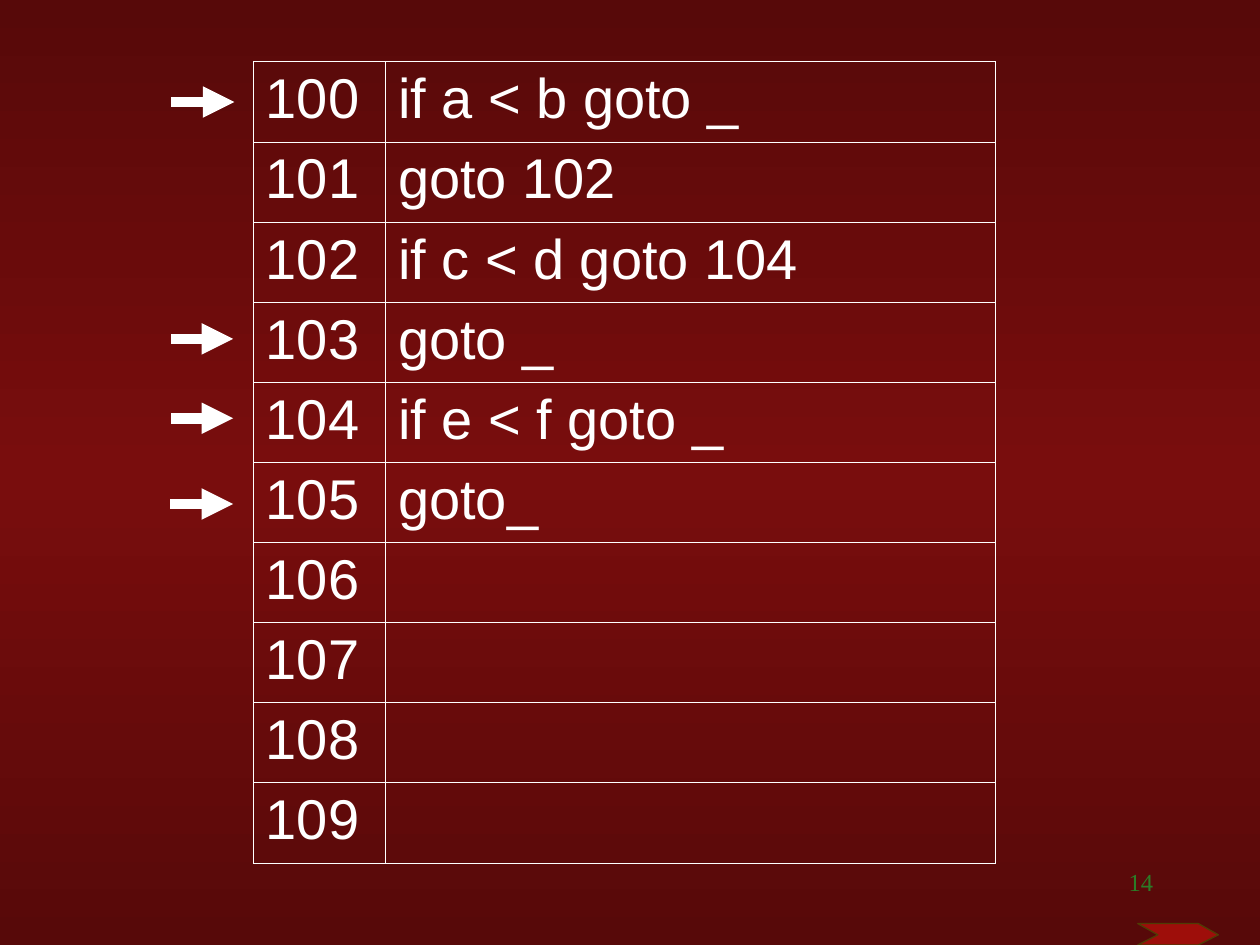
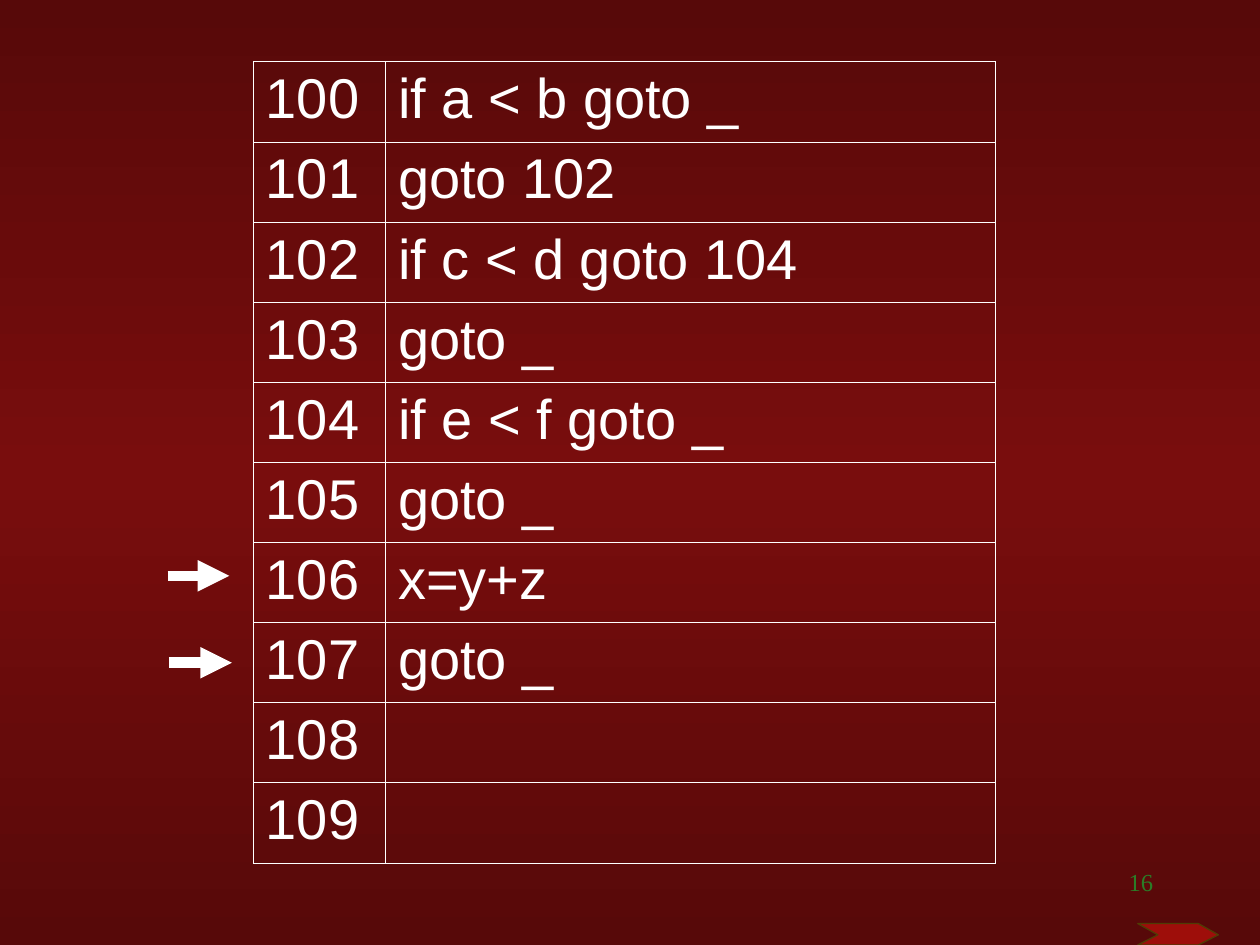
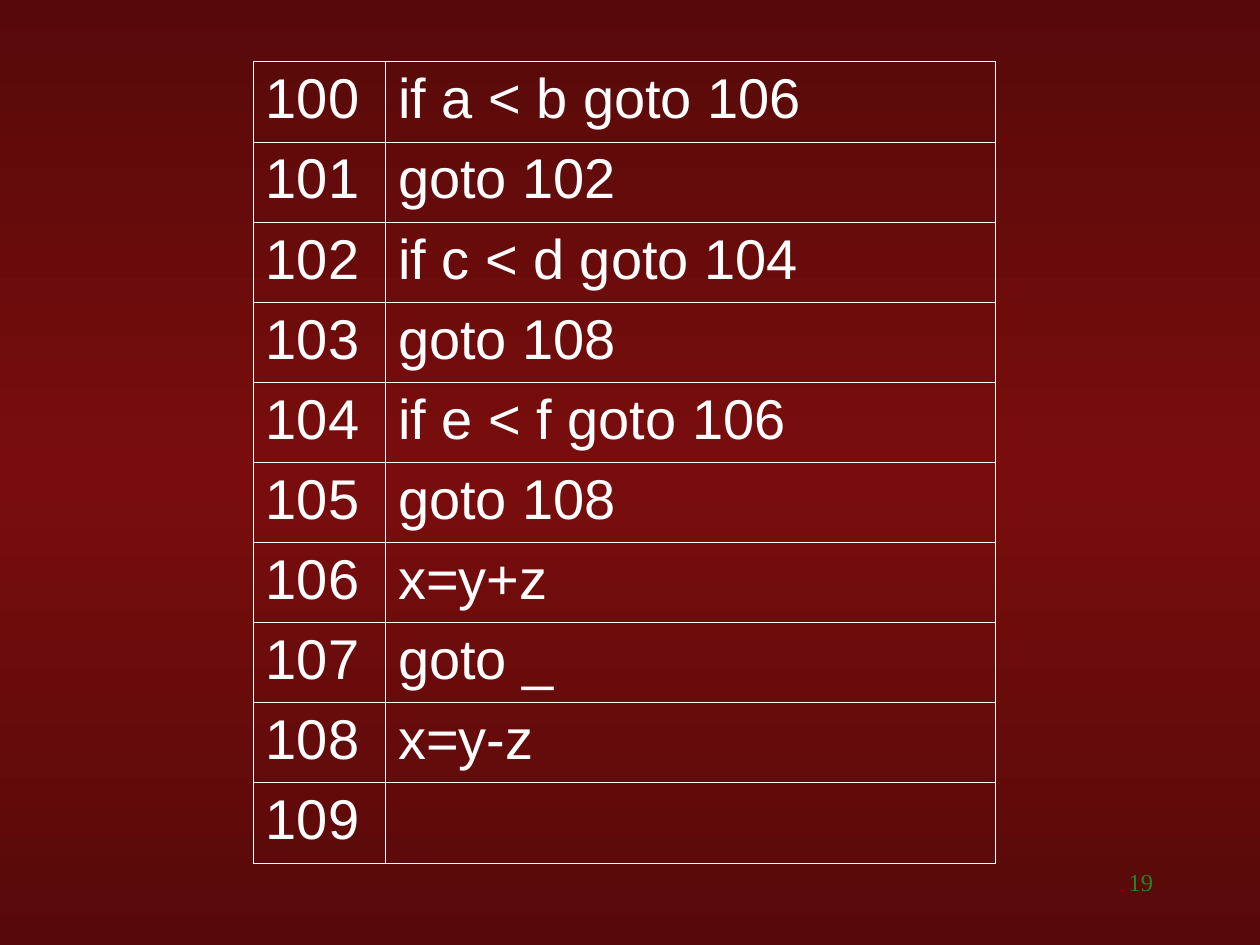
from copy import deepcopy
from dataclasses import dataclass

from lxml import etree
from pptx import Presentation
from pptx.dml.color import RGBColor
from pptx.enum.shapes import MSO_CONNECTOR
from pptx.enum.text import PP_ALIGN
from pptx.oxml.ns import qn
from pptx.slide import Slide
from pptx.table import _Cell
from pptx.text.text import Font
from pptx.util import Inches, Pt

STRAIGHT = MSO_CONNECTOR.STRAIGHT
RIGHT = PP_ALIGN.RIGHT


# Colours, fonts and sizes
@dataclass(frozen=True)
class Theme:
    edge: str = "570909"
    glow: str = "790D0D"
    ink: str = "FFFFFF"
    page: str = "2B7D27"
    flag: str = "9E0E0A"
    rim: str = "503C04"
    sans: str = "Arial"
    serif: str = "Times New Roman"
    code_size: float = 32
    page_size: float = 14
    grid_line: float = 0.45
    rim_line: float = 0.75
    arrow_line: float = 6


THEME = Theme()


@dataclass(frozen=True)
class Arrow:
    left: float
    right: float
    y: float


@dataclass(frozen=True)
class Step:
    page: int
    code: tuple[str, ...]
    arrows: tuple[Arrow, ...] = ()
    flag: bool = True


# Code listing: one row per address
FIRST = 100
ROWS = 10
LEFT, TOP = 2.01, 0.49
COLS = (1.05, 4.84)
TALL = 6.36
FLAG = ((9.03, 7.33), (9.51, 7.33), (9.67, 7.42),
        (9.51, 7.5), (9.03, 7.5), (9.19, 7.42))

STEPS = (
    Step(14,
         ("if a < b goto _", "goto 102", "if c < d goto 104", "goto _",
          "if e < f goto _", "goto_"),
         (Arrow(1.36, 1.86, 0.81), Arrow(1.36, 1.85, 3.32),
          Arrow(1.36, 1.85, 2.69), Arrow(1.35, 1.85, 4))),
    Step(16,
         ("if a < b goto _", "goto 102", "if c < d goto 104", "goto _",
          "if e < f goto _", "goto _", "x=y+z", "goto _"),
         (Arrow(1.33, 1.82, 4.57), Arrow(1.34, 1.84, 5.26))),
    Step(19,
         ("if a < b goto 106", "goto 102", "if c < d goto 104", "goto 108",
          "if e < f goto 106", "goto 108", "x=y+z", "goto _", "x=y-z"),
         flag=False),
)


def rgb(code: str) -> RGBColor:
    return RGBColor.from_string(code)


def style(font: Font, name: str, size: float, color: str) -> None:
    font.name = name
    font.size = Pt(size)
    font.color.rgb = rgb(color)


# Shared background: dark edges, lighter middle
def paint(base) -> None:
    fill = base.background.fill
    fill.gradient()
    fill.gradient_angle = 90
    stops = base.element.find(".//" + qn("a:gsLst"))
    stops.insert(1, deepcopy(stops[0]))
    looks = ((0, THEME.edge), (0.5, THEME.glow), (1, THEME.edge))
    for stop, (place, color) in zip(fill.gradient_stops, looks):
        stop.position = place
        stop.color.rgb = rgb(color)


def frame(cell: _Cell) -> None:
    props = cell._tc.get_or_add_tcPr()
    for side in ("a:lnL", "a:lnR", "a:lnT", "a:lnB"):
        line = etree.SubElement(props, qn(side), w=str(Pt(THEME.grid_line)))
        solid = etree.SubElement(line, qn("a:solidFill"))
        etree.SubElement(solid, qn("a:srgbClr"), val=THEME.ink)
    cell.fill.background()


def add_code(slide: Slide, code: tuple[str, ...]) -> None:
    table = slide.shapes.add_table(
        ROWS, len(COLS), Inches(LEFT), Inches(TOP),
        Inches(sum(COLS)), Inches(TALL)).table
    table.first_row = table.horz_banding = False
    for col, width in zip(table.columns, COLS):
        col.width = Inches(width)
    for i, row in enumerate(table.rows):
        row.height = Inches(TALL / ROWS)
        line = code[i] if i < len(code) else ""
        for cell, text in zip(row.cells, (str(FIRST + i), line)):
            frame(cell)
            if text:
                cell.text_frame.text = text
                run = cell.text_frame.paragraphs[0].runs[0]
                style(run.font, THEME.sans, THEME.code_size, THEME.ink)


def add_arrow(slide: Slide, arrow: Arrow) -> None:
    y = Inches(arrow.y)
    link = slide.shapes.add_connector(
        STRAIGHT, Inches(arrow.left), y, Inches(arrow.right), y)
    link.line.color.rgb = rgb(THEME.ink)
    link.line.width = Pt(THEME.arrow_line)
    props = link._element.spPr
    etree.SubElement(props.find(qn("a:ln")), qn("a:tailEnd"), type="triangle")
    etree.SubElement(props, qn("a:effectLst"))


def add_flag(slide: Slide) -> None:
    start, *rest = [(Inches(x), Inches(y)) for x, y in FLAG]
    pen = slide.shapes.build_freeform(*start)
    pen.add_line_segments(rest, close=True)
    flag = pen.convert_to_shape()
    flag.shadow.inherit = False
    flag.fill.solid()
    flag.fill.fore_color.rgb = rgb(THEME.flag)
    flag.line.color.rgb = rgb(THEME.rim)
    flag.line.width = Pt(THEME.rim_line)


def add_page(slide: Slide, page: int) -> None:
    box = slide.shapes.add_textbox(
        Inches(7.17), Inches(6.83), Inches(2.08), Inches(0.5))
    box.text_frame.word_wrap = True
    box.text_frame.text = str(page)
    para = box.text_frame.paragraphs[0]
    para.alignment = RIGHT
    style(para.runs[0].font, THEME.serif, THEME.page_size, THEME.page)


def main() -> None:
    deck = Presentation()
    deck.slide_width, deck.slide_height = Inches(10), Inches(7.5)
    paint(deck.slide_master)
    blank = deck.slide_layouts[6]
    for step in STEPS:
        slide = deck.slides.add_slide(blank)
        add_code(slide, step.code)
        for arrow in step.arrows:
            add_arrow(slide, arrow)
        if step.flag:
            add_flag(slide)
        add_page(slide, step.page)
    deck.save("out.pptx")


if __name__ == "__main__":
    main()
